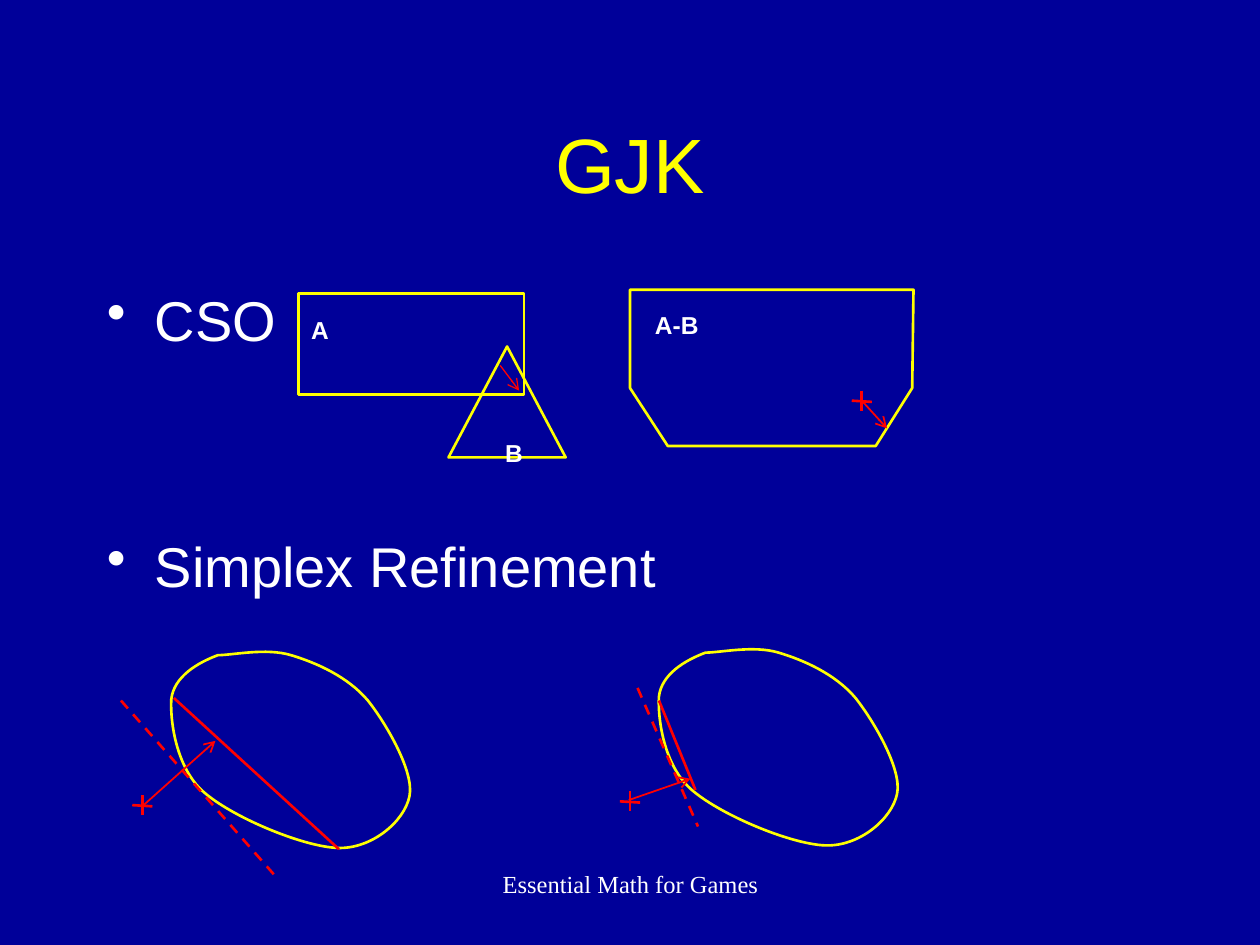
import pptx
import pptx.util
import pptx.dml.color
import pptx.enum.dml
import pptx.enum.shapes
import pptx.enum.text
import pptx.oxml
import pptx.oxml.ns

NAVY, YELLOW, WHITE, RED = "000099", "FFFF00", "FFFFFF", "FF0000"
THIN, MEDIUM, THICK = 0.75, 1, 1.5
ALIGN = pptx.enum.text.PP_ALIGN

BULLETS = [("CSO", 0), ("Simplex Refinement", 102)]  # text, space before
LABELS = [("A", 2.37, 2.45), ("B", 3.91, 3.43), ("A-B", 5.1, 2.41)]
OUTLINES = [
    ("RECTANGLE", (2.37, 2.33, 1.79, 0.8)),
    ("ISOSCELES_TRIANGLE", (3.56, 2.75, 0.93, 0.88)),
]
DIFFERENCE = [(5, 2.3), (7.25, 2.3), (7.24, 3.08),
              (6.95, 3.54), (5.3, 3.54), (5, 3.08)]
# Start point, then two control points and an end point for each curve
BLOB = [
    (1.73, 5.2),
    (1.57, 5.26), (1.38, 5.37), (1.36, 5.55),
    (1.35, 5.73), (1.4, 6.09), (1.61, 6.28),
    (1.83, 6.48), (2.4, 6.72), (2.68, 6.73),
    (2.95, 6.74), (3.21, 6.52), (3.25, 6.32),
    (3.29, 6.13), (3.07, 5.75), (2.92, 5.56),
    (2.76, 5.37), (2.51, 5.26), (2.31, 5.2),
    (2.11, 5.14), (1.85, 5.2), (1.73, 5.2),
]
BLOB_OFFSETS = [(0, 0), (3.87, -0.02)]
ARROWS = [
    ((3.97, 2.9), (4.12, 3.1), THIN),
    ((6.84, 3.18), (7.04, 3.4), MEDIUM),
    ((1.14, 6.39), (1.71, 5.88), MEDIUM),
    ((4.99, 6.35), (5.48, 6.18), MEDIUM),
]
CHORDS = [((1.38, 5.54), (2.69, 6.74)), ((5.23, 5.56), (5.52, 6.27))]
DASHES = [((0.96, 5.56), (2.2, 6.97)), ((5.06, 5.46), (5.54, 6.56))]
CROSSES = [(6.84, 3.18), (1.13, 6.39), (5, 6.36)]
CROSS_ARM = 0.08

inch = pptx.util.Inches
qn = pptx.oxml.ns.qn


def rgb(color):
    return pptx.dml.color.RGBColor.from_string(color)


def add_run(p, text, size, color=WHITE, font="Arial", bold=False):
    r = p.add_run()
    r.text = text
    r.font.size = pptx.util.Pt(size)
    r.font.name = font
    r.font.bold = bold
    r.font.color.rgb = rgb(color)


def add_box(s, x, y, w, h, wrap=True):
    tf = s.shapes.add_textbox(inch(x), inch(y), inch(w), inch(h)).text_frame
    tf.word_wrap = wrap
    return tf


def add_bullet(p):
    pPr = p._p.get_or_add_pPr()
    pPr.set("marL", str(inch(0.38)))
    pPr.set("indent", str(-inch(0.38)))
    pPr.append(pptx.oxml.parse_xml(
        f'<a:buChar {pptx.oxml.ns.nsdecls("a")} char="•"/>'))


def style_outline(sp):
    sp.shadow.inherit = False
    sp.fill.background()
    sp.line.color.rgb = rgb(YELLOW)
    sp.line.width = pptx.util.Pt(THICK)


def add_polygon(s, points):
    start, *rest = [(inch(x), inch(y)) for x, y in points]
    builder = s.shapes.build_freeform(*start)
    builder.add_line_segments(rest, close=True)
    sp = builder.convert_to_shape()
    style_outline(sp)
    return sp


def add_blob(s, points):
    """Draw a closed outline, turning each three line segments into one curve."""
    sp = add_polygon(s, points)
    segments = list(sp._element.iter(qn("a:lnTo")))
    for i in range(0, len(segments), 3):
        first, *others = segments[i:i + 3]
        curve = first.getparent().makeelement(qn("a:cubicBezTo"), {})
        first.addprevious(curve)
        for segment in (first, *others):
            curve.append(segment[0])
            segment.getparent().remove(segment)


def add_line(s, start, end, width=THICK, dash=False, arrow=False):
    cx = s.shapes.add_connector(pptx.enum.shapes.MSO_CONNECTOR.STRAIGHT,
                                *(inch(v) for v in (*start, *end)))
    cx.line.color.rgb = rgb(RED)
    cx.line.width = pptx.util.Pt(width)
    if dash:
        cx.line.dash_style = pptx.enum.dml.MSO_LINE.DASH
    ns = pptx.oxml.ns.nsdecls("a")
    if arrow:
        cx.line._get_or_add_ln().append(
            pptx.oxml.parse_xml(f'<a:tailEnd {ns} type="arrow"/>'))
    cx._element.spPr.append(pptx.oxml.parse_xml(f"<a:effectLst {ns}/>"))


def add_text(s):
    title = s.shapes.title
    title.left, title.top = inch(0.75), inch(0.67)
    title.width, title.height = inch(8.5), inch(1.25)
    tf = title.text_frame
    tf.vertical_anchor = pptx.enum.text.MSO_ANCHOR.MIDDLE
    tf.paragraphs[0].alignment = ALIGN.CENTER
    add_run(tf.paragraphs[0], "GJK", 44, YELLOW)

    tf = add_box(s, 0.75, 2.22, 8.5, 4.45)
    for i, (text, gap) in enumerate(BULLETS):
        p = tf.add_paragraph() if i else tf.paragraphs[0]
        add_bullet(p)
        p.space_before = pptx.util.Pt(gap)
        add_run(p, text, 32)

    for text, x, y in LABELS:
        tf = add_box(s, x, y, 0.2 + 0.12 * len(text), 0.34, wrap=False)
        add_run(tf.paragraphs[0], text, 14, bold=True)

    p = add_box(s, 3.42, 6.85, 3.17, 0.48).paragraphs[0]
    p.alignment = ALIGN.CENTER
    add_run(p, "Essential Math for Games", 14, font="Times New Roman")


def add_figures(s):
    for kind, box in OUTLINES:
        style_outline(s.shapes.add_shape(
            pptx.enum.shapes.MSO_SHAPE[kind], *(inch(v) for v in box)))
    add_polygon(s, DIFFERENCE)
    for dx, dy in BLOB_OFFSETS:
        add_blob(s, [(x + dx, y + dy) for x, y in BLOB])
    for start, end in CHORDS:
        add_line(s, start, end)
    for start, end in DASHES:
        add_line(s, start, end, dash=True)
    for start, end, width in ARROWS:
        add_line(s, start, end, width, arrow=True)
    for x, y in CROSSES:
        add_line(s, (x, y - CROSS_ARM), (x, y + CROSS_ARM))
        add_line(s, (x - CROSS_ARM, y), (x + CROSS_ARM, y + 0.01))


def main():
    prs = pptx.Presentation()
    prs.slide_width, prs.slide_height = inch(10), inch(7.5)
    s = prs.slides.add_slide(prs.slide_layouts[5])
    s.background.fill.solid()
    s.background.fill.fore_color.rgb = rgb(NAVY)
    add_figures(s)
    add_text(s)
    prs.save("out.pptx")


if __name__ == "__main__":
    main()
